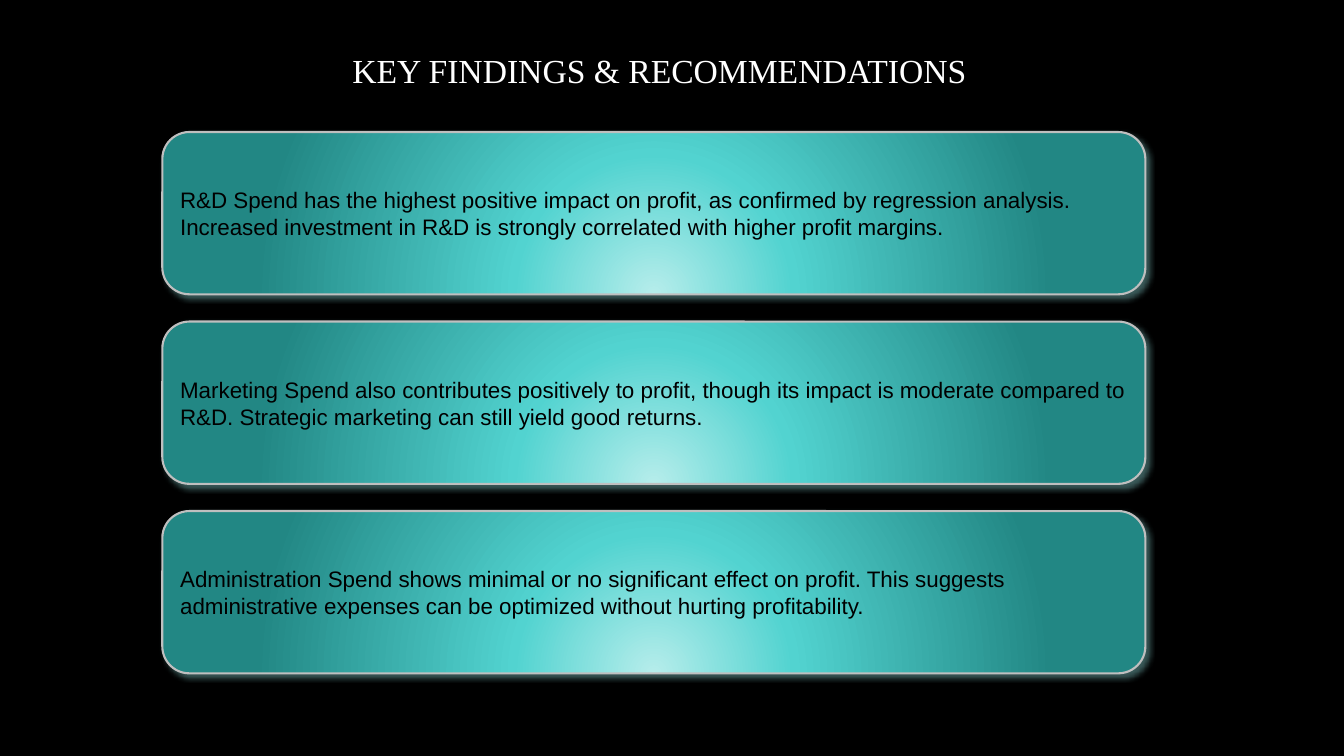
"""Build the key findings and recommendations slide."""
import pptx
import pptx.dml.color
import pptx.enum.shapes
import pptx.enum.text
import pptx.oxml
import pptx.oxml.ns
import pptx.util

Inches = pptx.util.Inches
Pt = pptx.util.Pt
RGBColor = pptx.dml.color.RGBColor

TITLE = "KEY FINDINGS & RECOMMENDATIONS"
FINDINGS = [
    "R&D Spend has the highest positive impact on profit, as confirmed by regression analysis. "
    "Increased investment in R&D is strongly correlated with higher profit margins.",
    "Marketing Spend also contributes positively to profit, though its impact is moderate "
    "compared to R&D. Strategic marketing can still yield good returns.",
    "Administration Spend shows minimal or no significant effect on profit. This suggests "
    "administrative expenses can be optimized without hurting profitability.",
]

BLACK = RGBColor(0x00, 0x00, 0x00)
WHITE = RGBColor(0xFF, 0xFF, 0xFF)
SILVER = RGBColor(0xBF, 0xBF, 0xBF)
GLOW = RGBColor(0x92, 0xE3, 0xE1)
TEAL_STOPS = [
    (0, RGBColor(0xB6, 0xED, 0xEB)),
    (28, RGBColor(0x52, 0xD3, 0xD0)),
    (80, RGBColor(0x22, 0x87, 0x84)),
]

CARD_LEFT, CARD_TOP = 1.61, 1.31
CARD_WIDTH, CARD_HEIGHT = 9.75, 1.61
CARD_PITCH = 1.88


def set_text(shape, text, font_name, size, color, alignment):
    """Write one vertically centred, wrapped paragraph."""
    frame = shape.text_frame
    frame.word_wrap = True
    frame.vertical_anchor = pptx.enum.text.MSO_ANCHOR.MIDDLE
    frame.text = text
    paragraph = frame.paragraphs[0]
    paragraph.alignment = alignment
    font = paragraph.runs[0].font
    font.name = font_name
    font.size = Pt(size)
    font.color.rgb = color


def set_radial_fill(shape):
    """Fill a shape with the teal glow rising from below its lower edge."""
    shape.fill.gradient()
    stops = "".join(
        f'<a:gs pos="{position * 1000}"><a:srgbClr val="{color}"/></a:gs>'
        for position, color in TEAL_STOPS
    )
    radial = pptx.oxml.parse_xml(
        f'<a:gradFill {pptx.oxml.ns.nsdecls("a")} rotWithShape="1"><a:gsLst>{stops}</a:gsLst>'
        '<a:path path="circle"><a:fillToRect l="50000" t="130000" r="50000" b="-30000"/>'
        '</a:path></a:gradFill>'
    )
    properties = shape._element.spPr
    properties.replace(properties.find(pptx.oxml.ns.qn("a:gradFill")), radial)


def set_shadow(shape):
    """Give a shape a soft teal shadow to the lower right."""
    shape.shadow.inherit = False
    effects = shape._element.spPr.find(pptx.oxml.ns.qn("a:effectLst"))
    effects.append(pptx.oxml.parse_xml(
        f'<a:outerShdw {pptx.oxml.ns.nsdecls("a")} blurRad="{Pt(4)}" dist="{Pt(3)}" '
        f'dir="{45 * 60000}" algn="tl" rotWithShape="0"><a:srgbClr val="{GLOW}">'
        '<a:alpha val="40000"/></a:srgbClr></a:outerShdw>'
    ))


def add_card(slide, index, finding):
    """Add one rounded finding card at its place in the stack."""
    card = slide.shapes.add_shape(
        pptx.enum.shapes.MSO_SHAPE.ROUNDED_RECTANGLE,
        Inches(CARD_LEFT), Inches(CARD_TOP + index * CARD_PITCH),
        Inches(CARD_WIDTH), Inches(CARD_HEIGHT),
    )
    set_radial_fill(card)
    card.line.color.rgb = SILVER
    card.line.width = Pt(1.5)
    set_shadow(card)
    set_text(card, finding, "Arial", 16, BLACK, pptx.enum.text.PP_ALIGN.LEFT)


def main():
    """Assemble and save the slide."""
    presentation = pptx.Presentation()
    presentation.slide_width = Inches(13.33)
    presentation.slide_height = Inches(7.5)
    slide = presentation.slides.add_slide(presentation.slide_layouts[6])
    slide.background.fill.solid()
    slide.background.fill.fore_color.rgb = BLACK

    for index, finding in enumerate(FINDINGS):
        add_card(slide, index, finding)

    title = slide.shapes.add_textbox(Inches(3.04), Inches(0.33), Inches(7), Inches(0.73))
    set_text(title, TITLE, "Times New Roman", 24, WHITE, pptx.enum.text.PP_ALIGN.CENTER)

    presentation.save("out.pptx")


if __name__ == "__main__":
    main()
